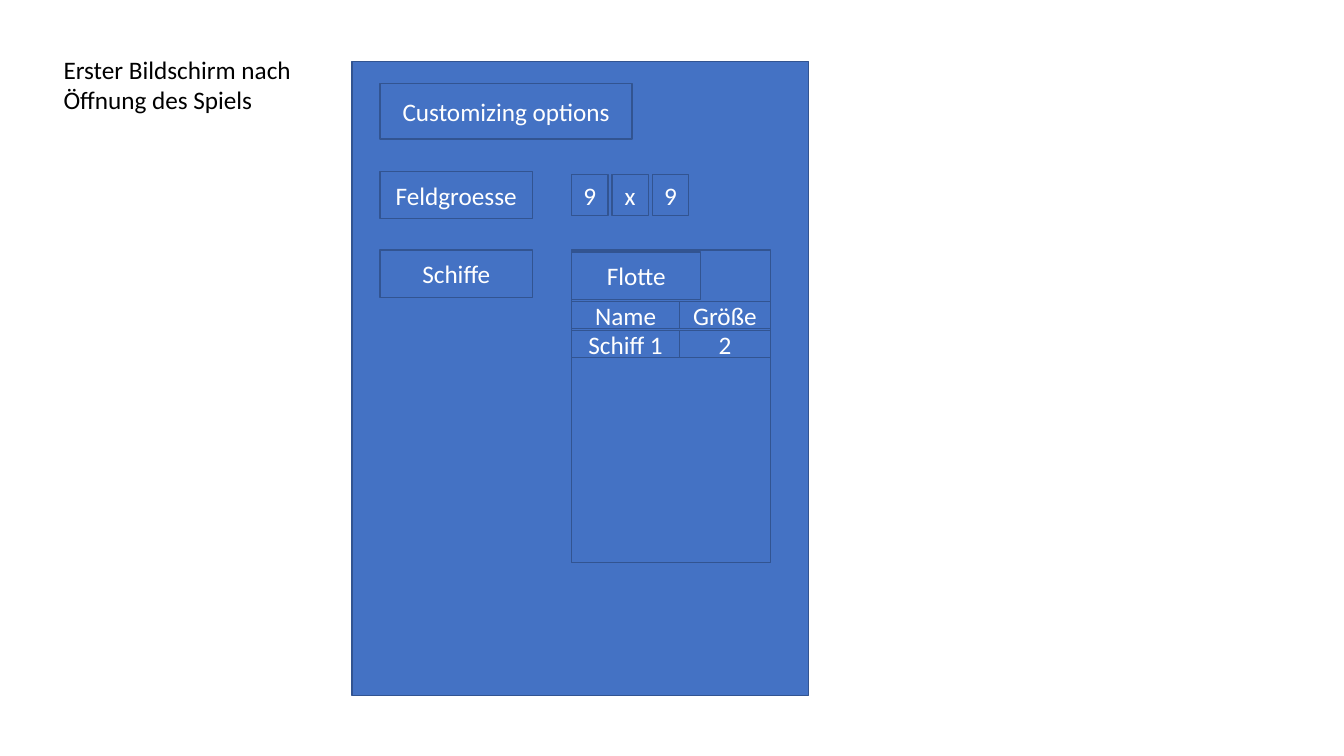
from dataclasses import dataclass

from pptx import Presentation
from pptx.dml.color import RGBColor
from pptx.enum.shapes import MSO_SHAPE as Shape
from pptx.enum.text import MSO_ANCHOR as Anchor, PP_ALIGN as Align
from pptx.util import Inches, Pt

# Content
CAPTION = "Erster Bildschirm nach Öffnung des Spiels"
HEADING = "Customizing options"
OPTION_LABELS = ["Feldgroesse", "Schiffe"]
FIELD_SIZE = ["9", "x", "9"]
FLEET_TITLE = "Flotte"
FLEET_ROWS = [("Name", "Größe"), ("Schiff 1", "2")]


@dataclass(frozen=True)
class Theme:
    """Colours, font and sizes of the slide."""
    fill: RGBColor = RGBColor(0x44, 0x72, 0xC4)
    line: RGBColor = RGBColor(0x32, 0x54, 0x91)
    light: RGBColor = RGBColor(0xFF, 0xFF, 0xFF)
    dark: RGBColor = RGBColor(0, 0, 0)
    font: str = "Calibri"
    size: float = 18
    line_width: float = 1


THEME = Theme()

# Layout in inches
SLIDE_WIDTH, SLIDE_HEIGHT = 13.33, 7.5
LABEL_LEFT, VALUE_LEFT = 3.77, 5.67
OPTION_TOP, OPTION_STEP = 1.7, 0.78
LABEL_WIDTH, LABEL_HEIGHT = 1.51, 0.47
DIGIT_WIDTH, DIGIT_HEIGHT, DIGIT_STEP = 0.36, 0.41, 0.4
FLEET_TOP, FLEET_HEIGHT = OPTION_TOP + OPTION_STEP, 3.1
FLEET_COLUMNS = [1.07, 0.9]
ROW_TOP, ROW_HEIGHT, ROW_STEP = 2.99, 0.27, 0.29


def write(shape, text, color=THEME.light, align=Align.CENTER, anchor=Anchor.MIDDLE):
    """Put formatted text into a shape."""
    frame = shape.text_frame
    frame.word_wrap = True
    frame.vertical_anchor = anchor
    paragraph = frame.paragraphs[0]
    paragraph.alignment = align
    paragraph.line_spacing = 1.0
    run = paragraph.add_run()
    run.text = text
    run.font.name = THEME.font
    run.font.size = Pt(THEME.size)
    run.font.color.rgb = color


def add_box(slide, left, top, width, height, text=""):
    """Add one outlined box, with a centred label if given."""
    box = slide.shapes.add_shape(Shape.RECTANGLE, *map(Inches, (left, top, width, height)))
    box.shadow.inherit = False
    box.fill.solid()
    box.fill.fore_color.rgb = THEME.fill
    box.line.color.rgb = THEME.line
    box.line.width = Pt(THEME.line_width)
    if text:
        write(box, text)


def add_caption(slide):
    """Place the slide's title beside the screen."""
    title = slide.shapes.title
    title.left, title.top, title.width, title.height = map(Inches, (0.53, 0.49, 2.59, 0.71))
    write(title, CAPTION, color=THEME.dark, align=Align.LEFT, anchor=Anchor.TOP)


def add_options(slide):
    """Add the heading, the option labels and the field size."""
    add_box(slide, LABEL_LEFT, 0.83, 2.5, 0.55, HEADING)
    for index, label in enumerate(OPTION_LABELS):
        add_box(slide, LABEL_LEFT, OPTION_TOP + index * OPTION_STEP,
                LABEL_WIDTH, LABEL_HEIGHT, label)
    digit_top = OPTION_TOP + (LABEL_HEIGHT - DIGIT_HEIGHT) / 2
    for index, digit in enumerate(FIELD_SIZE):
        add_box(slide, VALUE_LEFT + index * DIGIT_STEP, digit_top,
                DIGIT_WIDTH, DIGIT_HEIGHT, digit)


def add_fleet(slide):
    """Add the fleet panel with its heading and rows."""
    add_box(slide, VALUE_LEFT, FLEET_TOP, sum(FLEET_COLUMNS), FLEET_HEIGHT)
    add_box(slide, VALUE_LEFT, FLEET_TOP + 0.02, 1.28, LABEL_HEIGHT, FLEET_TITLE)
    for row, values in enumerate(FLEET_ROWS):
        for column, value in enumerate(values):
            add_box(slide, VALUE_LEFT + sum(FLEET_COLUMNS[:column]),
                    ROW_TOP + row * ROW_STEP, FLEET_COLUMNS[column], ROW_HEIGHT, value)


def main():
    """Build and save the slide."""
    presentation = Presentation()
    presentation.slide_width = Inches(SLIDE_WIDTH)
    presentation.slide_height = Inches(SLIDE_HEIGHT)
    title_only = presentation.slide_layouts[5]
    slide = presentation.slides.add_slide(title_only)
    add_box(slide, 3.49, 0.61, 4.53, 6.29)
    add_caption(slide)
    add_options(slide)
    add_fleet(slide)
    presentation.save("out.pptx")


main()
